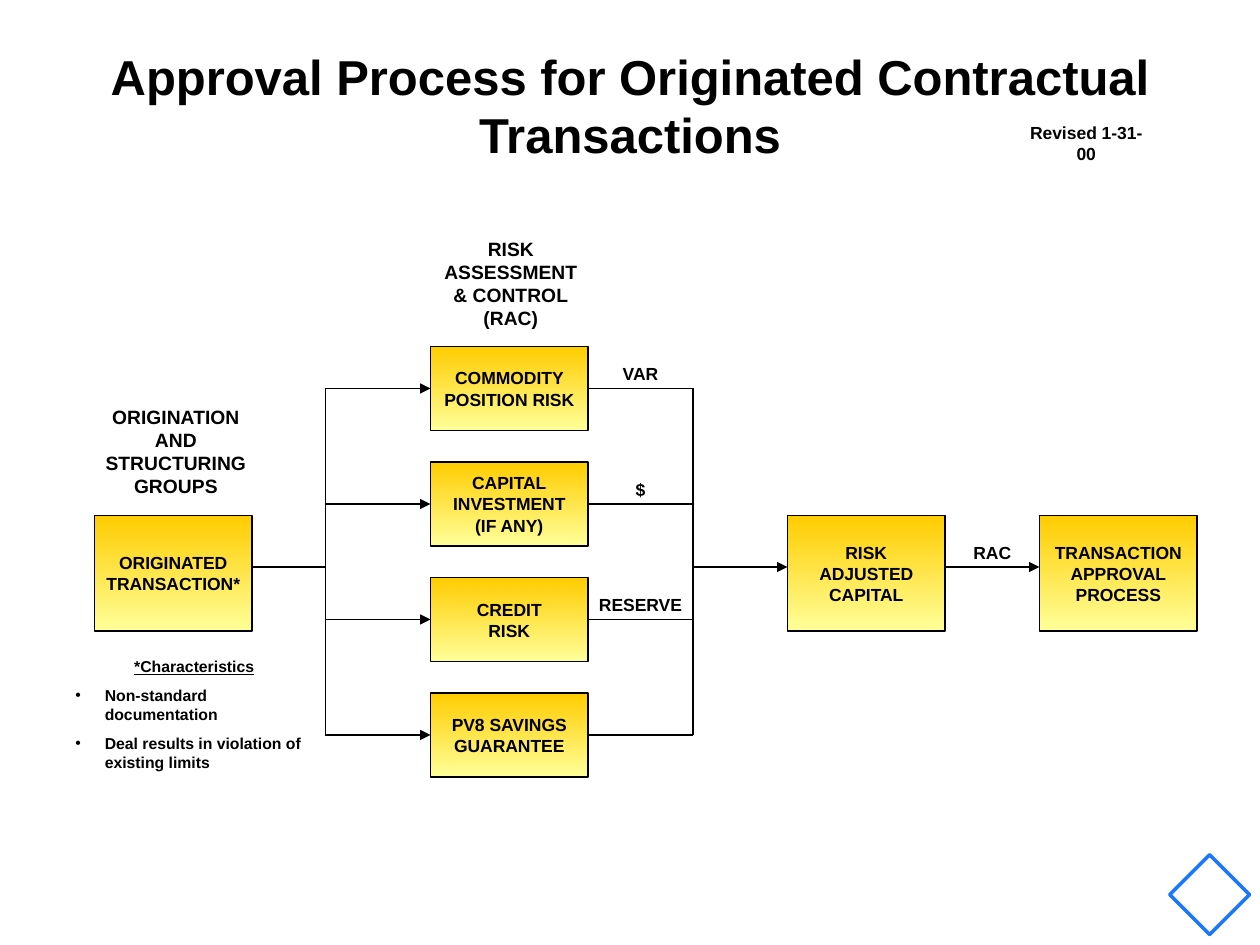
from dataclasses import dataclass

from lxml.etree import SubElement
from pptx import Presentation
from pptx.dml.color import RGBColor as Rgb
from pptx.enum.shapes import MSO_CONNECTOR as Connector, MSO_SHAPE as Shape
from pptx.enum.text import MSO_ANCHOR as Anchor, PP_ALIGN as Align
from pptx.oxml.ns import qn
from pptx.util import Pt

PX = 7620  # EMU in one px, at 120 px to the inch
TOP, LEFT, BOTTOM, RIGHT = range(4)


@dataclass(frozen=True)
class Theme:
    font: str = "Arial"
    ink: Rgb = Rgb(0x00, 0x00, 0x00)
    box_top: Rgb = Rgb(0xFF, 0xCC, 0x00)
    box_bottom: Rgb = Rgb(0xFF, 0xFF, 0x99)
    emblem: Rgb = Rgb(0x1C, 0x77, 0xFF)
    title_size: float = 28
    heading_size: float = 11
    body_size: float = 10
    note_size: float = 9
    outline: float = 0.75
    flow_line: float = 1


THEME = Theme()

BOX_WIDTH = 150
STAGE_TOP, STAGE_HEIGHT = 491, 110
RISK_LEFT, RISK_TOP, RISK_HEIGHT, RISK_PITCH = 410, 330, 80, 110
FLOW_Y = 540
SPLIT_X, MERGE_X = 310, 660

STAGES = [
    (90, ["ORIGINATED", "TRANSACTION*"]),
    (750, ["RISK", "ADJUSTED", "CAPITAL"]),
    (990, ["TRANSACTION", "APPROVAL", "PROCESS"]),
]
# Lines in the box, measure written on its outgoing line
RISKS = [
    (["COMMODITY POSITION RISK"], "VAR"),
    (["CAPITAL", "INVESTMENT", "(IF ANY)"], "$"),
    (["CREDIT", "RISK"], "RESERVE"),
    (["PV8 SAVINGS GUARANTEE"], None),
]


def px(*lengths):
    return [length * PX for length in lengths]


def add_bullet(paragraph, indent):
    props = paragraph._p.get_or_add_pPr()
    props.set("marL", str(indent * PX))
    props.set("indent", str(-indent * PX))
    SubElement(props, qn("a:buFont"), typeface=THEME.font)
    SubElement(props, qn("a:buChar"), char="•")


def write(frame, lines, size=THEME.body_size, anchor=Anchor.TOP, wrap=True,
          gap=0, heading_underlined=False, bullets_from=None):
    """Fill a text frame, one paragraph a line; bulleted lines align left."""
    frame.word_wrap = wrap
    frame.vertical_anchor = anchor
    for index, line in enumerate(lines):
        paragraph = frame.paragraphs[0] if index == 0 else frame.add_paragraph()
        if bullets_from is not None and index >= bullets_from:
            paragraph.alignment = Align.LEFT
            add_bullet(paragraph, 28)
        else:
            paragraph.alignment = Align.CENTER
        if index and gap:
            paragraph.space_before = Pt(gap)
        run = paragraph.add_run()
        run.text = line
        font = run.font
        font.name, font.size, font.bold = THEME.font, Pt(size), True
        font.color.rgb = THEME.ink
        font.underline = heading_underlined and index == 0


def add_label(slide, bounds, lines, **text_format):
    label = slide.shapes.add_textbox(*px(*bounds))
    write(label.text_frame, lines, **text_format)


def add_box(slide, bounds, lines):
    box = slide.shapes.add_shape(Shape.RECTANGLE, *px(*bounds))
    box.shadow.inherit = False
    box.fill.gradient()
    box.fill.gradient_angle = 270  # counter-clockwise: runs from top to bottom
    for stop, position, color in zip(box.fill.gradient_stops, (0, 1),
                                     (THEME.box_top, THEME.box_bottom)):
        stop.position = position
        stop.color.rgb = color
    box.line.color.rgb = THEME.ink
    box.line.width = Pt(THEME.outline)
    write(box.text_frame, lines, anchor=Anchor.MIDDLE, wrap=len(lines) == 1)
    return box


def add_flow(slide, start, end, arrow=False):
    flow = slide.shapes.add_connector(Connector.STRAIGHT, *px(*start, *end))
    flow.line.color.rgb = THEME.ink
    flow.line.width = Pt(THEME.flow_line)
    if arrow:
        SubElement(flow.line._get_or_add_ln(), qn("a:tailEnd"), type="triangle")
    SubElement(flow._element.spPr, qn("a:effectLst"))
    return flow


def add_risk(slide, row, lines, measure):
    top = RISK_TOP + row * RISK_PITCH
    middle = top + RISK_HEIGHT // 2
    right = RISK_LEFT + BOX_WIDTH
    risk = add_box(slide, (RISK_LEFT, top, BOX_WIDTH, RISK_HEIGHT), lines)
    incoming = add_flow(slide, (SPLIT_X, middle), (RISK_LEFT, middle), arrow=True)
    incoming.end_connect(risk, LEFT)
    outgoing = add_flow(slide, (right, middle), (MERGE_X, middle))
    outgoing.begin_connect(risk, RIGHT)
    if measure:
        add_label(slide, (right - 10, middle - 30, 120, 32), [measure])


def add_emblem(slide):
    emblem = slide.shapes.add_shape(Shape.DIAMOND, *px(1114, 814, 76, 76))
    emblem.shadow.inherit = False
    emblem.fill.background()
    emblem.line.color.rgb = THEME.emblem
    emblem.line.width = Pt(2)


def main():
    deck = Presentation()
    deck.slide_width, deck.slide_height = px(1200, 900)
    slide = deck.slides.add_slide(deck.slide_layouts[6])

    add_emblem(slide)
    add_label(slide, (47, 29, 1106, 142),
              ["Approval Process for Originated Contractual Transactions"],
              size=THEME.title_size, anchor=Anchor.MIDDLE)
    add_label(slide, (960, 120, 149, 32), ["Revised 1-31-00"],
              anchor=Anchor.MIDDLE, wrap=False)
    add_label(slide, (403, 220, 167, 101),
              ["RISK ASSESSMENT", "& CONTROL", "(RAC)"],
              size=THEME.heading_size)
    add_label(slide, (85, 380, 165, 101),
              ["ORIGINATION", "AND", "STRUCTURING", "GROUPS"],
              size=THEME.heading_size)
    add_label(slide, (60, 620, 250, 103),
              ["*Characteristics", "Non-standard documentation",
               "Deal results in violation of existing limits"],
              size=THEME.note_size, gap=5.6, heading_underlined=True,
              bullets_from=1)

    for left, lines in STAGES:
        add_box(slide, (left, STAGE_TOP, BOX_WIDTH, STAGE_HEIGHT), lines)
    for row, (lines, measure) in enumerate(RISKS):
        add_risk(slide, row, lines, measure)

    first_y = RISK_TOP + RISK_HEIGHT // 2
    last_y = first_y + (len(RISKS) - 1) * RISK_PITCH
    for trunk_x in (SPLIT_X, MERGE_X):
        add_flow(slide, (trunk_x, first_y), (trunk_x, last_y))

    origin, capital, approval = (left for left, _ in STAGES)
    add_flow(slide, (origin + BOX_WIDTH, FLOW_Y), (SPLIT_X, FLOW_Y))
    add_flow(slide, (MERGE_X, FLOW_Y), (capital, FLOW_Y), arrow=True)
    add_flow(slide, (capital + BOX_WIDTH, FLOW_Y), (approval, FLOW_Y), arrow=True)
    add_label(slide, (910, FLOW_Y - 30, 70, 32), ["RAC"])

    deck.save("out.pptx")


if __name__ == "__main__":
    main()
